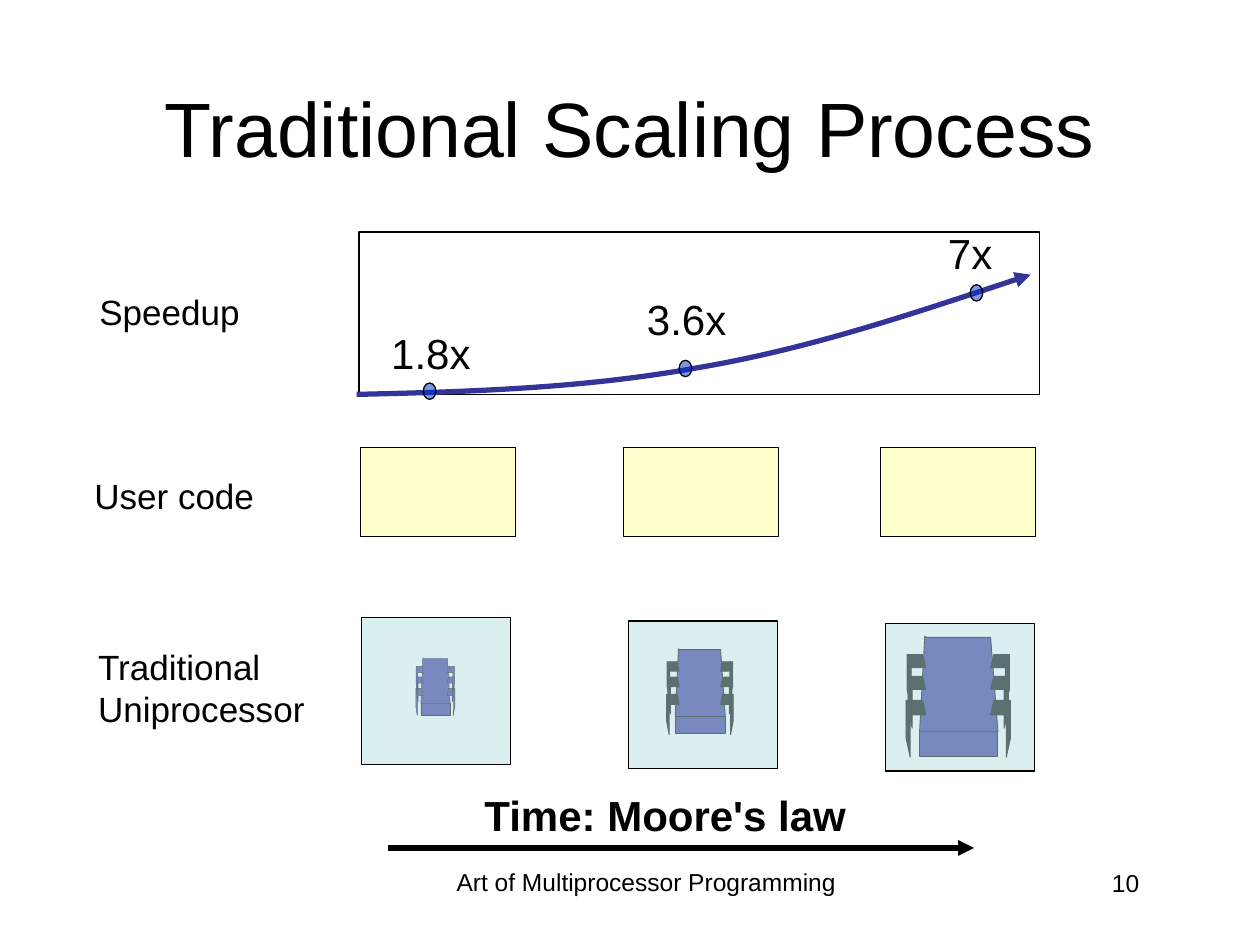
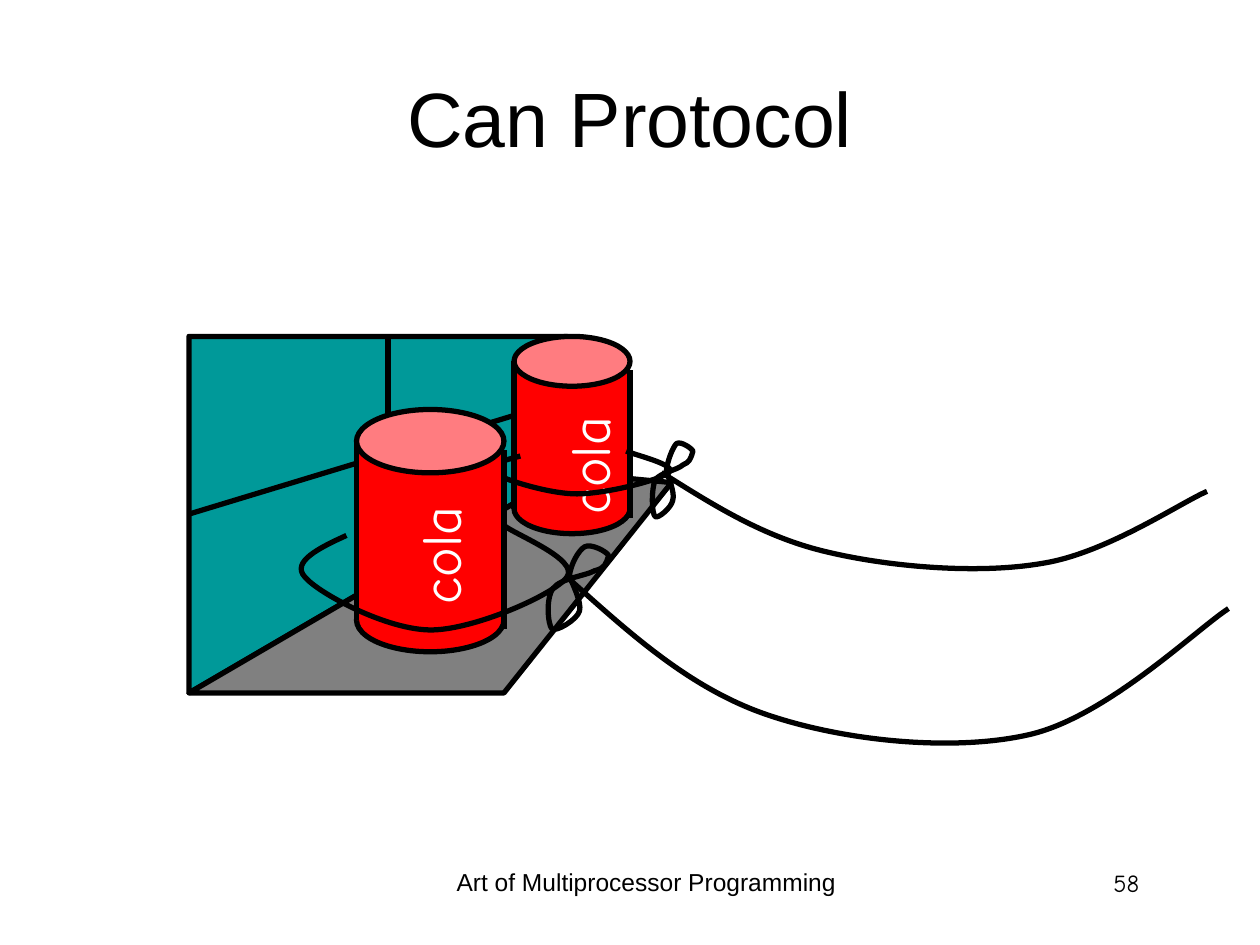
from lxml import etree
from pptx import Presentation, util as u
from pptx.dml.color import RGBColor
from pptx.enum import shapes as kinds, text as t
from pptx.oxml.ns import qn

# ---- Shared look; one grid unit is a tenth of the slide's width ----
COLS, ROWS = 10, 7.5
COLORS = dict(ink="000000", paper="FFFFFF", code="FFFFCC", chip="BBE0E3", core="333399",
              dot="0033CC", wall="009999", floor="808080", can="FF0000", lid="FF7C80")
SANS, COMIC = "Arial", "Comic Neue"
FOOTER = "Art of Multiprocessor Programming"
THIN, THICK = 0.75, 3

# ---- Scaling slide ----
ROW_LABELS = [("Speedup", (0.69, 2.26, 1.33, 0.44)),
              ("User code", (0.65, 3.72, 1.52, 0.43)),
              ("Traditional\nUniprocessor", (0.68, 5.07, 2.01, 0.77))]
PLOT = (2.85, 1.84, 5.4, 1.29)
GROWTH = [(2.83, 3.13), (3.74, 3.11), (4.64, 3.08), (5.53, 2.92),
          (6.42, 2.77), (7.3, 2.47), (8.18, 2.18)]
STAGES = [
    dict(speedup="1.8x", label=(3, 2.55, 0.84, 0.51), dot=(3.36, 3.04), code=2.86,
         chip=(2.87, 4.9), core=(3.3, 5.22, 0.31, 0.46), pins="core", edge=0.25),
    dict(speedup="3.6x", label=(5.03, 2.28, 0.84, 0.51), dot=(5.39, 2.86), code=4.95,
         chip=(4.99, 4.93), core=(5.29, 5.15, 0.53, 0.68), pins="ink", edge=0.5),
    dict(speedup="7x", label=(7.42, 1.76, 0.56, 0.51), dot=(7.7, 2.26), code=6.99,
         chip=(7.03, 4.95), core=(7.19, 5.05, 0.83, 0.96), pins="ink", edge=0.5),
]
# Core parts as shares of its box; each pin is top, outer edge, shoulder, tip, thickness
CORE_BODY = [(0.2, 0.01), (0.81, 0.01), (0.88, 0.79), (0.13, 0.79), (0.18, 0)]
CORE_BASE = (0.13, 0.79, 0.75, 0.2)
PINS = [(0.53, 1, 0.31, 0.47, 0.12), (0.33, 0.98, 0.29, 0.43, 0.11),
        (0.15, 0.99, 0.29, 0.43, 0.11)]

# ---- Can slide: outlines, and curves as a start followed by triples ----
WALL = [(1.5, 2.67), (1.5, 5.5), (4.5, 3.75), (4.5, 2.67)]
FLOOR = [(1.5, 5.5), (4, 5.5), (5.33, 3.83), (4.5, 3.75)]
WALL_SEAMS = [((1.5, 4.08), (4.5, 3.17)), ((3.08, 2.67), (3.08, 4.58))]
REAR = dict(
    can=(4.08, 2.67, 0.92, 1.17), label=(4.16, 3.4),
    loop=[(4.13, 3.62), (3.98, 3.66), (3.83, 3.7), (3.91, 3.75), (3.98, 3.8), (4.35, 3.92),
          (4.58, 3.92), (4.81, 3.92), (5.24, 3.81), (5.31, 3.75), (5.38, 3.69),
          (5.03, 3.61), (4.97, 3.58)],
    knot=[(5.29, 3.73), (5.3, 3.65), (5.34, 3.55), (5.37, 3.52), (5.41, 3.5), (5.49, 3.56),
          (5.5, 3.58), (5.48, 3.65), (5.47, 3.67), (5.42, 3.69), (5.38, 3.73), (5.24, 3.75),
          (5.2, 3.81), (5.17, 3.88), (5.17, 4.07), (5.2, 4.1), (5.22, 4.12), (5.33, 4.03),
          (5.34, 3.97), (5.36, 3.91), (5.3, 3.78), (5.29, 3.73)],
    string=[(5.25, 3.75), (5.65, 4), (6.05, 4.26), (6.56, 4.38), (7.06, 4.5), (7.77, 4.56),
            (8.28, 4.47), (8.78, 4.39), (9.37, 3.99), (9.58, 3.9)])
FRONT = dict(
    can=(2.83, 3.25, 1.17, 1.42), label=(2.98, 4.11),
    loop=[(2.75, 4.25), (2.53, 4.35), (2.31, 4.46), (2.42, 4.58), (2.53, 4.71), (3.07, 5),
          (3.42, 5), (3.76, 5), (4.4, 4.72), (4.5, 4.58), (4.6, 4.44), (4.08, 4.24),
          (4, 4.17)],
    knot=[(4.52, 4.57), (4.53, 4.48), (4.59, 4.37), (4.64, 4.34), (4.69, 4.31), (4.82, 4.38),
          (4.83, 4.41), (4.81, 4.48), (4.8, 4.51), (4.72, 4.53), (4.65, 4.57), (4.45, 4.59),
          (4.39, 4.67), (4.33, 4.75), (4.35, 4.96), (4.38, 4.99), (4.41, 5.02), (4.58, 4.92),
          (4.6, 4.85), (4.62, 4.78), (4.54, 4.63), (4.52, 4.57)],
    string=[(4.5, 4.58), (4.99, 5.02), (5.47, 5.46), (6.08, 5.67), (6.69, 5.88), (7.56, 5.97),
            (8.17, 5.83), (8.78, 5.69), (9.49, 5), (9.75, 4.83)])


# ---- Drawing helpers ----
def lengths(values):
    return [u.Inches(value) for value in values]


def rgb(name):
    return RGBColor.from_string(COLORS[name])


def paint(shape, fill=None, line="ink", width=THIN, alpha=None):
    shape.shadow.inherit = False
    if fill:
        shape.fill.solid()
        shape.fill.fore_color.rgb = rgb(fill)
        if alpha:
            tint = shape.element.spPr.find(qn("a:solidFill"))[0]
            etree.SubElement(tint, qn("a:alpha"), val=str(alpha * 1000))
    else:
        shape.fill.background()
    if line:
        shape.line.color.rgb = rgb(line)
        shape.line.width = u.Pt(width)
    else:
        shape.line.fill.background()
    return shape


def block(parent, box, fill, kind="RECTANGLE", **style):
    preset = getattr(kinds.MSO_SHAPE, kind)
    return paint(parent.add_shape(preset, *lengths(box)), fill, **style)


def outline(parent, points, fill=None, closed=True, **style):
    start, *rest = [lengths(point) for point in points]
    builder = parent.build_freeform(*start, scale=1.0)
    builder.add_line_segments(rest, close=closed)
    return paint(builder.convert_to_shape(), fill, **style)


def curve(parent, points, color="ink"):
    """Turn every three straight steps of an outline into one cubic Bezier."""
    shape = outline(parent, points, closed=False, line=color, width=THICK)
    steps = list(shape.element.iter(qn("a:lnTo")))
    for first in range(0, len(steps), 3):
        bend = etree.Element(qn("a:cubicBezTo"))
        steps[first].addprevious(bend)
        for step in steps[first:first + 3]:
            bend.append(step[0])
            step.getparent().remove(step)
    return shape


def segment(parent, start, end):
    line = parent.add_connector(kinds.MSO_CONNECTOR.STRAIGHT, *lengths(start + end))
    line.line.color.rgb = rgb("ink")
    line.line.width = u.Pt(THICK)
    etree.SubElement(line.element.spPr, qn("a:effectLst"))
    return line


def arrowhead(shape):
    etree.SubElement(shape.element.spPr.find(qn("a:ln")), qn("a:tailEnd"), type="triangle")


def write(parent, words, box, size, align="CENTER", font=SANS, color="ink", bold=False,
          wrap=False, anchor="TOP"):
    area = parent.add_textbox(*lengths(box))
    frame = area.text_frame
    frame.word_wrap = wrap
    frame.vertical_anchor = getattr(t.MSO_ANCHOR, anchor)
    frame.text = words
    for paragraph in frame.paragraphs:
        paragraph.alignment = getattr(t.PP_ALIGN, align)
        paragraph.font.name = font
        paragraph.font.size = u.Pt(size)
        paragraph.font.bold = bold
        paragraph.font.color.rgb = rgb(color)
    return area


def new_slide(deck, title, title_top, number, number_font=SANS):
    parent = deck.slides.add_slide(deck.slide_layouts[6]).shapes
    write(parent, title, (0.5, title_top, COLS - 1, 1.25), 44, wrap=True, anchor="MIDDLE")
    write(parent, FOOTER, (3.42, 6.83, 3.42, 0.52), 14, wrap=True)
    write(parent, number, (7.06, 6.84, 2.08, 0.5), 14, "RIGHT", number_font, wrap=True)
    return parent


# ---- Parts of the slides ----
def draw_core(parent, box, pins, edge):
    left, top, width, height = box
    group = parent.add_group_shape().shapes

    def place(points):
        return [(left + x * width, top + y * height) for x, y in points]

    x, y, w, h = CORE_BASE
    block(group, (left + x * width, top + y * height, w * width, h * height), "core",
          width=edge)
    outline(group, place(CORE_BODY), "core", width=edge)
    for mirrored in (False, True):
        for y, outer, shoulder, tip, thick in PINS:
            pin = [(0.84, y), (outer, y), (outer, y + shoulder), (outer - 0.04, y + tip),
                   (outer - 0.04, y + thick), (0.81, y + thick)]
            if mirrored:
                pin = [(1 - x, y) for x, y in pin]
            outline(group, place(pin), pins, width=edge)


def draw_can(parent, can, label):
    left, top, width, height = can
    lid = 0.43 * width
    body_top, right = top + lid / 2, left + width
    group = parent.add_group_shape().shapes
    block(group, (left, top + height, width, lid), "can", "OVAL", width=THICK)
    block(group, (left, body_top, width, height), "can", line=None)
    block(group, (left, top, width, lid), "lid", "OVAL", width=THICK)
    for x, drop in ((left, 0), (right, 0.07)):
        segment(group, (x, body_top + drop), (x, body_top + height + drop))
    write(group, "cola", label + (1.01, 0.63), 32, "RIGHT", COMIC, "paper").rotation = 270


def scaling_slide(deck):
    parent = new_slide(deck, "Traditional Scaling Process", 0.38, "10")
    for words, box in ROW_LABELS:
        write(parent, words, box, 20, "LEFT")
    # Speedup plot
    block(parent, PLOT, "paper", alpha=50)
    arrowhead(curve(parent, GROWTH, "core"))
    # One column per processor generation
    for stage in STAGES:
        block(parent, stage["dot"] + (0.1, 0.13), "dot", "OVAL", alpha=50)
        write(parent, stage["speedup"], stage["label"], 24)
        block(parent, (stage["code"], 3.55, 1.23, 0.71), "code")
        draw_core(parent, stage["core"], stage["pins"], stage["edge"])
        block(parent, stage["chip"] + (1.18, 1.17), "chip", alpha=50)
    # Time axis
    arrowhead(segment(parent, (3.08, 6.73), (7.73, 6.73)))
    write(parent, "Time: Moore's law", (3.71, 6.22, 3.14, 0.5), 24, bold=True)


def can_slide(deck):
    parent = new_slide(deck, "Can Protocol", 0.3, "58", COMIC)
    # Window sill
    outline(parent, WALL, "wall", width=THICK)
    for start, end in WALL_SEAMS:
        segment(parent, start, end)
    outline(parent, FLOOR, "floor", width=THICK)
    # Cans and strings, from back to front
    curve(parent, FRONT["string"])
    curve(parent, FRONT["knot"])
    draw_can(parent, REAR["can"], REAR["label"])
    curve(parent, REAR["loop"])
    draw_can(parent, FRONT["can"], FRONT["label"])
    for points in (REAR["knot"], REAR["string"], FRONT["loop"]):
        curve(parent, points)


def main():
    deck = Presentation()
    deck.slide_width, deck.slide_height = lengths((COLS, ROWS))
    scaling_slide(deck)
    can_slide(deck)
    deck.save("out.pptx")


if __name__ == "__main__":
    main()
